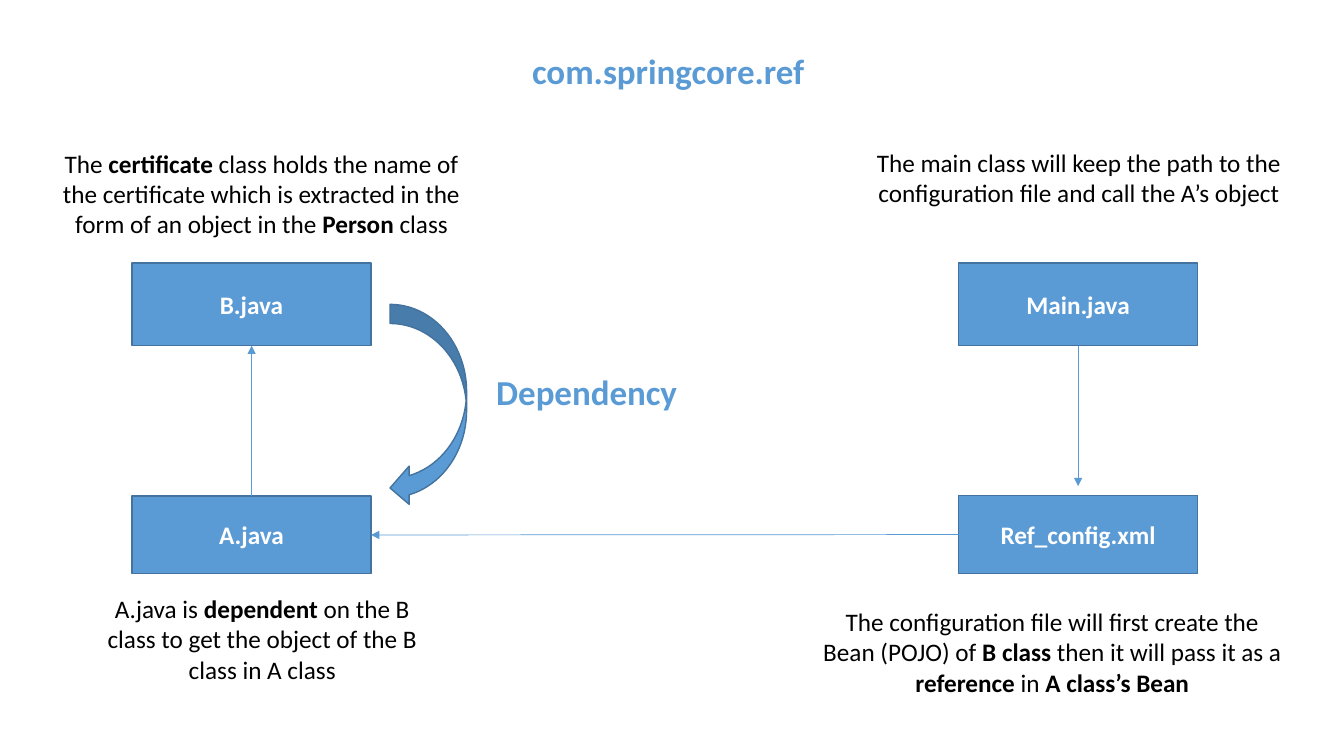
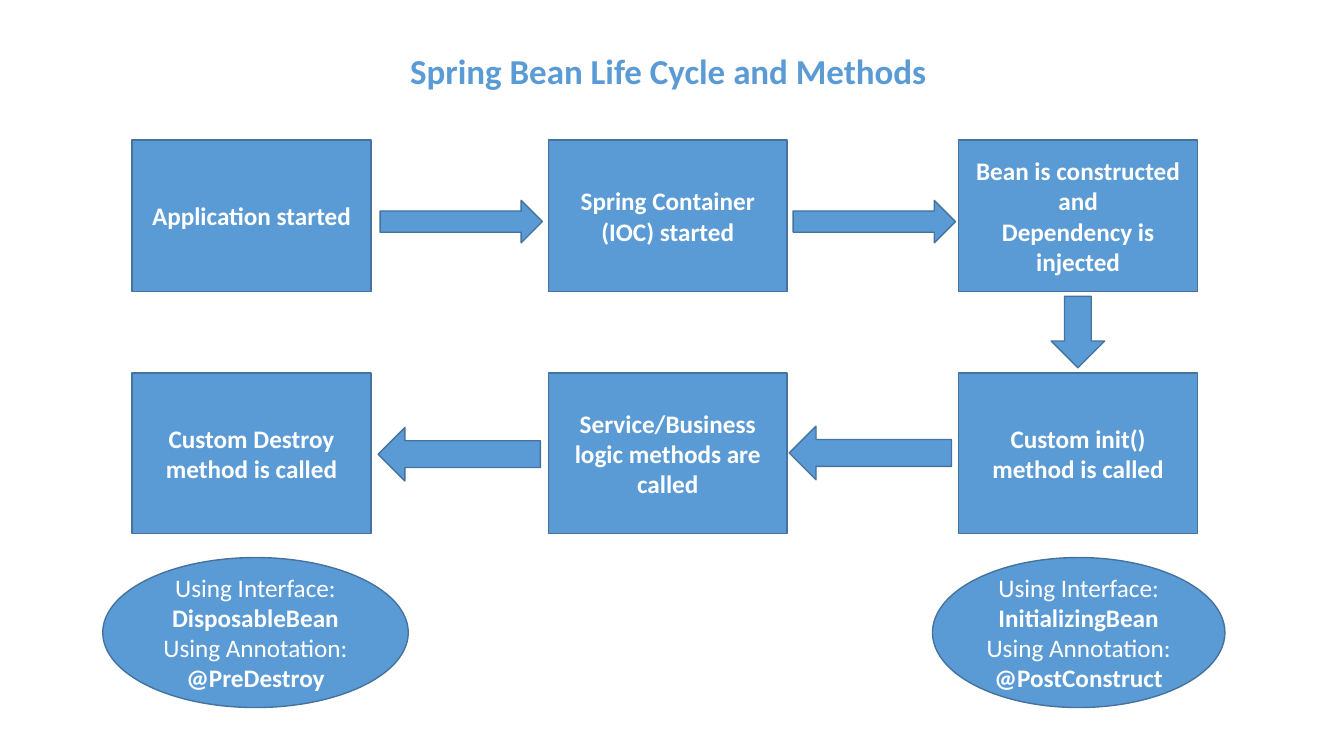
import lxml.etree
import pptx
import pptx.dml.color
import pptx.enum.shapes
import pptx.enum.text
import pptx.oxml.ns
import pptx.util

Cm = pptx.util.Cm
Pt = pptx.util.Pt
RGBColor = pptx.dml.color.RGBColor
Shape = pptx.enum.shapes.MSO_SHAPE
Anchor = pptx.enum.text.MSO_ANCHOR
qn = pptx.oxml.ns.qn

BLUE = RGBColor(0x5B, 0x9B, 0xD5)
EDGE = RGBColor(0x43, 0x73, 0x9E)
WHITE = RGBColor(0xFF, 0xFF, 0xFF)
BLACK = RGBColor(0x00, 0x00, 0x00)

LEFT, MIDDLE, RIGHT = 3.33, 13.82, 24.16
BOX_WIDTH = 6.02
TOP_SITE, LEFT_SITE, BOTTOM_SITE, RIGHT_SITE = range(4)


class Deck:
    font = "Calibri"
    body_size = 18
    heading_size = 25

    def __init__(self):
        self.presentation = pptx.Presentation()
        self.presentation.slide_width = Cm(33.87)
        self.presentation.slide_height = Cm(19.05)
        self.slide = None

    def new_slide(self, title):
        blank = self.presentation.slide_layouts[6]
        self.slide = self.presentation.slides.add_slide(blank)
        self.heading(title, 2.24, 0, 29.2)

    def set_text(self, frame, lines, size, color, anchor, spacing=None):
        frame.word_wrap = True
        frame.vertical_anchor = anchor
        for index, line in enumerate(lines):
            paragraph = frame.add_paragraph() if index else frame.paragraphs[0]
            paragraph.alignment = pptx.enum.text.PP_ALIGN.CENTER
            paragraph.line_spacing = spacing
            paragraph.font.name = self.font
            paragraph.font.size = Pt(size)
            paragraph.font.color.rgb = color
            pieces = [(words, position % 2 == 1)
                      for position, words in enumerate(line.split("**")) if words]
            if len(pieces) == 1:
                paragraph.font.bold = pieces[0][1]
            for words, bold in pieces:
                run = paragraph.add_run()
                run.text = words
                if len(pieces) > 1:
                    run.font.bold = bold

    def heading(self, words, left, top, width):
        area = self.slide.shapes.add_textbox(Cm(left), Cm(top), Cm(width), Cm(3.68))
        self.set_text(area.text_frame, [f"**{words}**"], self.heading_size, BLUE,
                      Anchor.MIDDLE, 0.9)

    def note(self, words, left, top, width, height):
        area = self.slide.shapes.add_textbox(Cm(left), Cm(top), Cm(width), Cm(height))
        self.set_text(area.text_frame, [words], self.body_size, BLACK, Anchor.TOP)

    def figure(self, kind, left, top, width, height, lines=()):
        figure = self.slide.shapes.add_shape(kind, Cm(left), Cm(top), Cm(width), Cm(height))
        figure.shadow.inherit = False
        figure.fill.solid()
        figure.fill.fore_color.rgb = BLUE
        figure.line.color.rgb = EDGE
        figure.line.width = Pt(1)
        self.set_text(figure.text_frame, lines, self.body_size, WHITE, Anchor.MIDDLE)
        return figure

    def box(self, left, top, height, *lines):
        bold_lines = [f"**{line}**" for line in lines]
        return self.figure(Shape.RECTANGLE, left, top, BOX_WIDTH, height, bold_lines)

    def arrow(self, source, source_site, target, target_site, gap=0):
        arrow = self.slide.shapes.add_connector(
            pptx.enum.shapes.MSO_CONNECTOR.STRAIGHT, 0, 0, 0, 0)
        arrow.begin_connect(source, source_site)
        arrow.end_connect(target, target_site)
        arrow.end_y = arrow.end_y - Cm(gap)
        arrow.line.color.rgb = BLUE
        arrow.line.width = Pt(0.5)
        properties = arrow.element.spPr
        lxml.etree.SubElement(properties.find(qn("a:ln")), qn("a:tailEnd"), type="triangle")
        lxml.etree.SubElement(properties, qn("a:effectLst"))


def dependency_slide(deck):
    deck.new_slide("com.springcore.ref")
    class_b = deck.box(LEFT, 6.63, 2.08, "B.java")
    config = deck.box(RIGHT, 12.48, 1.98, "Ref_config.xml")
    class_a = deck.box(LEFT, 12.5, 1.96, "A.java")
    main_class = deck.box(RIGHT, 6.63, 2.08, "Main.java")

    deck.arrow(main_class, BOTTOM_SITE, config, TOP_SITE, gap=0.23)
    deck.arrow(config, LEFT_SITE, class_a, RIGHT_SITE)
    deck.arrow(class_a, TOP_SITE, class_b, BOTTOM_SITE)
    deck.figure(Shape.CURVED_LEFT_ARROW, 9.83, 7.67, 1.93, 5.11)
    deck.heading("Dependency", 10.9, 8.1, 7.77)

    deck.note("A.java is **dependent** on the B class to get the object "
              "of the B class in A class", 2.24, 14.83, 8.74, 2.57)
    deck.note("The **certificate** class holds the name of the certificate which is "
              "extracted in the form of an object in the **Person** class",
              1.19, 3.61, 10.8, 2.57)
    deck.note("The configuration file will first create the Bean (POJO) of **B class** "
              "then it will pass it as a **reference** in **A class’s Bean**",
              20.45, 15.16, 12.14, 2.57)
    deck.note("The main class will keep the path to the configuration file "
              "and call the A’s object", 21.79, 3.58, 10.8, 1.8)


def life_cycle_slide(deck):
    deck.new_slide("Spring Bean Life Cycle and Methods")
    rows = [
        (3.53, 3.82, [
            (LEFT, ["Application started"]),
            (MIDDLE, ["Spring Container (IOC) started"]),
            (RIGHT, ["Bean is constructed and", "Dependency is injected"]),
        ]),
        (9.4, 4.04, [
            (RIGHT, ["Custom init() method is called"]),
            (MIDDLE, ["Service/Business logic methods are called"]),
            (LEFT, ["Custom Destroy method is called"]),
        ]),
    ]
    for top, height, steps in rows:
        for left, lines in steps:
            deck.box(left, top, height, *lines)

    for left in (9.58, 19.99):
        deck.figure(Shape.RIGHT_ARROW, left, 5.05, 4.09, 1.07)
    deck.figure(Shape.DOWN_ARROW, 26.49, 7.47, 1.35, 1.8)
    for left, top in ((19.89, 10.74), (9.53, 10.77)):
        deck.figure(Shape.LEFT_ARROW, left, top, 4.09, 1.35)

    hooks = [
        (23.5, 7.37, "InitializingBean", "@PostConstruct"),
        (2.59, 7.7, "DisposableBean", "@PreDestroy"),
    ]
    for left, width, interface, annotation in hooks:
        deck.figure(Shape.OVAL, left, 14.05, width, 3.78,
                    ["Using Interface:", f"**{interface}**",
                     "Using Annotation:", f"**{annotation}**"])


def main():
    deck = Deck()
    dependency_slide(deck)
    life_cycle_slide(deck)
    deck.presentation.save("out.pptx")


if __name__ == "__main__":
    main()
